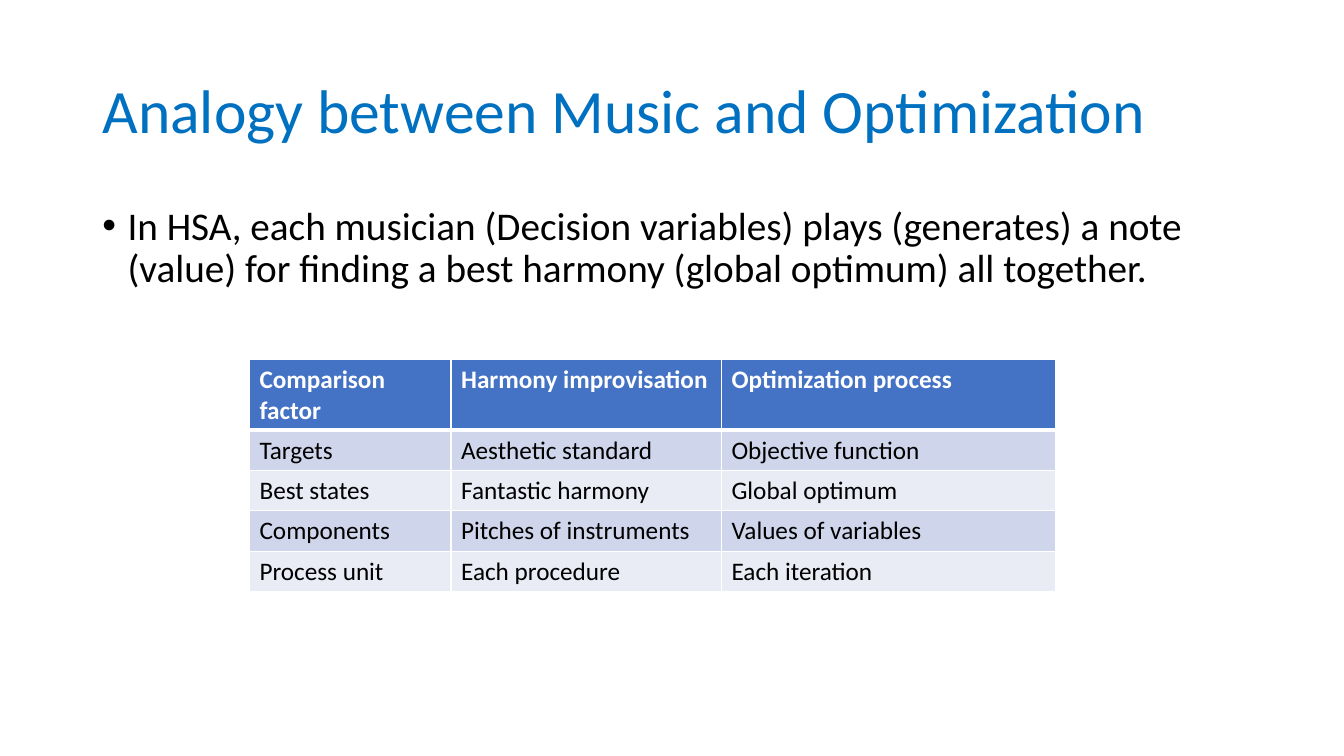
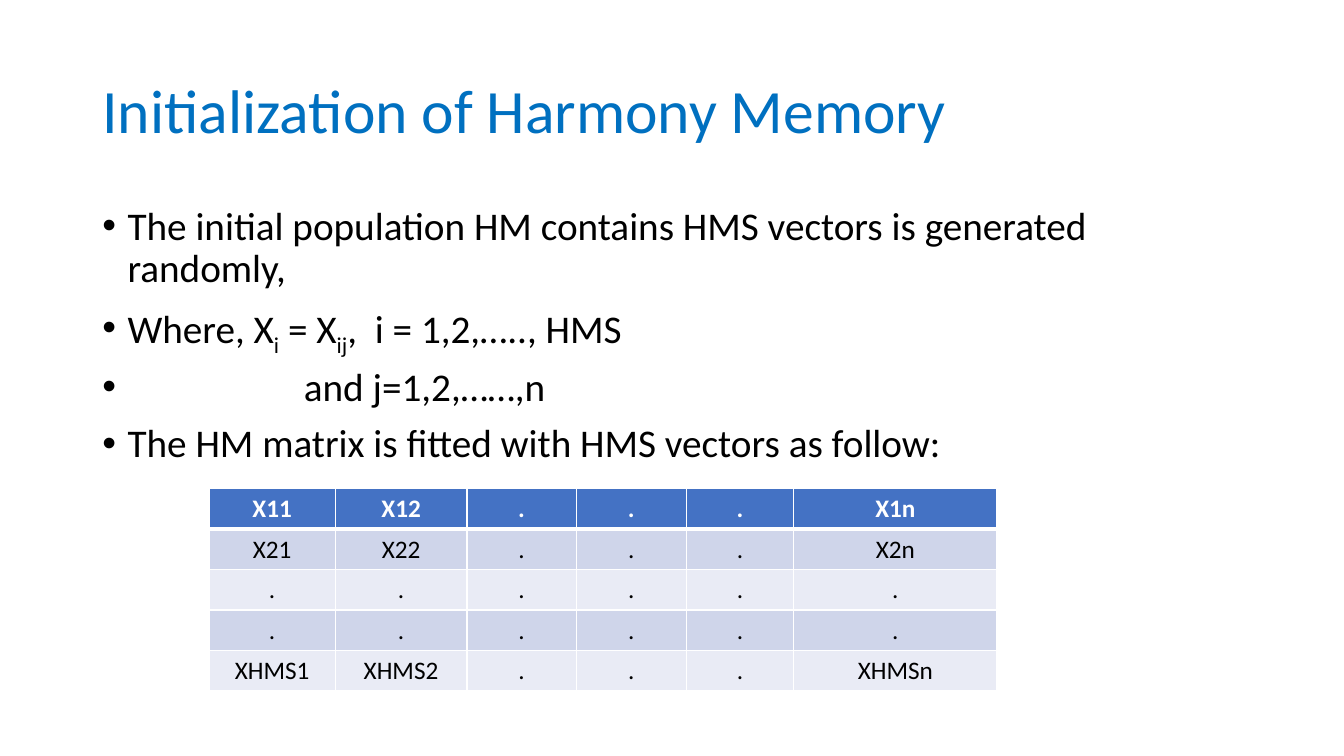
"""Build two slides on harmony search, each with a title, bullets and a table."""
import dataclasses
import typing

import pptx
import pptx.dml.color
import pptx.enum.text
import pptx.oxml
import pptx.oxml.ns
import pptx.util

WIDE, HIGH = pptx.util.Inches(13.33), pptx.util.Inches(7.5)
COLS, ROWS = 160, 90
FONT = "Calibri"
INKS = {
    "title": "0070C0",
    "text": "000000",
    "light": "FFFFFF",
    "head": "4472C4",
    "odd": "CFD5EA",
    "even": "E9EBF5",
}
ALIGN = pptx.enum.text.PP_ALIGN
ANCHOR = pptx.enum.text.MSO_ANCHOR


@dataclasses.dataclass(frozen=True)
class Box:
    """Area in grid columns and rows."""
    left: float
    top: float
    width: float
    height: float


@dataclasses.dataclass(frozen=True)
class Point:
    """Bullet with its hanging indent in grid columns."""
    text: str
    hang: float = 3


@dataclasses.dataclass(frozen=True)
class Grid:
    """Table with its place, column widths and cell texts."""
    left: float
    top: float
    cols: tuple[float, ...]
    cells: list[list[str]]
    head: float = 4.8
    row: float = 4.8
    align: ALIGN = ALIGN.LEFT


@dataclasses.dataclass(frozen=True)
class Page:
    """Content of one slide."""
    title: str
    points: list[Point]
    grid: Grid


TITLE = Box(11, 4.8, 138, 17.4)
BODY = Box(11, 24, 138, 57.1)


def across(cols: float) -> int:
    """Turn grid columns into a length."""
    return round(WIDE * cols / COLS)


def down(rows: float) -> int:
    """Turn grid rows into a length."""
    return round(HIGH * rows / ROWS)


def place(box: Box) -> tuple[int, int, int, int]:
    """Turn a grid area into slide lengths."""
    return across(box.left), down(box.top), across(box.width), down(box.height)


def write(para: typing.Any, text: str, *, size: float, ink: str = "text",
          bold: bool = False, align: ALIGN = ALIGN.LEFT,
          lead: float = 1, gap: float = 0, hang: float = 0) -> None:
    """Fill a paragraph; parts between underscores become subscripts."""
    para.alignment, para.line_spacing = align, lead
    para.space_before = pptx.util.Pt(gap)
    for rank, part in enumerate(text.split("_")):
        run = para.add_run()
        run.text = part
        run.font.name, run.font.size, run.font.bold = FONT, pptx.util.Pt(size), bold
        run.font.color.rgb = pptx.dml.color.RGBColor.from_string(INKS[ink])
        if rank % 2:
            run.font._element.set("baseline", "-25000")
    if hang:
        props = para._p.get_or_add_pPr()
        props.set("marL", str(across(hang)))
        props.set("indent", str(-across(hang)))
        names = pptx.oxml.ns.nsdecls("a")
        for tag in ('buFont {} typeface="Arial"', 'buChar {} char="•"'):
            props.append(pptx.oxml.parse_xml(f"<a:{tag.format(names)}/>"))


def edge(cell: typing.Any, side: str, width: float) -> None:
    """Draw one side of a cell."""
    names = pptx.oxml.ns.nsdecls("a")
    cell._tc.get_or_add_tcPr().append(pptx.oxml.parse_xml(
        f'<a:ln{side} {names} w="{pptx.util.Pt(width)}"><a:solidFill>'
        f'<a:srgbClr val="{INKS["light"]}"/></a:solidFill></a:ln{side}>'))


def head(slide: typing.Any, text: str) -> None:
    """Place and fill the title."""
    shape = slide.shapes.title
    shape.left, shape.top, shape.width, shape.height = place(TITLE)
    frame = shape.text_frame
    frame.auto_size = pptx.enum.text.MSO_AUTO_SIZE.NONE
    frame.vertical_anchor = ANCHOR.MIDDLE
    write(frame.paragraphs[0], text, size=44, ink="title", lead=0.9)


def body(slide: typing.Any, points: list[Point]) -> None:
    """Write the bullets."""
    frame = slide.shapes.add_textbox(*place(BODY)).text_frame
    frame.word_wrap = True
    for rank, point in enumerate(points):
        para = frame.add_paragraph() if rank else frame.paragraphs[0]
        write(para, point.text, size=28, lead=0.9, gap=10, hang=point.hang)


def chart(slide: typing.Any, grid: Grid) -> None:
    """Draw the banded table."""
    count = len(grid.cells)
    area = Box(grid.left, grid.top, sum(grid.cols),
               grid.head + grid.row * (count - 1))
    table = slide.shapes.add_table(count, len(grid.cols), *place(area)).table
    for col, width in zip(table.columns, grid.cols):
        col.width = across(width)
    for rank, texts in enumerate(grid.cells):
        first = rank == 0
        table.rows[rank].height = down(grid.head if first else grid.row)
        fill = "head" if first else "odd" if rank % 2 else "even"
        sides = {"L": 1, "R": 1, "T": 3 if rank == 1 else 1, "B": 3 if first else 1}
        for spot, text in enumerate(texts):
            cell = table.cell(rank, spot)
            for side, width in sides.items():
                edge(cell, side, width)
            cell.fill.solid()
            cell.fill.fore_color.rgb = pptx.dml.color.RGBColor.from_string(INKS[fill])
            write(cell.text_frame.paragraphs[0], text, size=18, bold=first,
                  ink="light" if first else "text", align=grid.align)


DOTS = ["."] * 3
PAGES = [
    Page(
        "Analogy between Music and Optimization",
        [Point("In HSA, each musician (Decision variables) plays (generates) a note "
               "(value) for finding a best harmony (global optimum) all together.")],
        Grid(29.7, 42.8, (24, 32.2, 39.8), [
            ["Comparison factor", "Harmony improvisation", "Optimization process"],
            ["Targets", "Aesthetic standard", "Objective function"],
            ["Best states", "Fantastic harmony", "Global optimum"],
            ["Components", "Pitches of instruments", "Values of variables"],
            ["Process unit", "Each procedure", "Each iteration"],
        ], head=8.4),
    ),
    Page(
        "Initialization of Harmony Memory",
        [Point("The initial population HM contains HMS vectors is generated randomly,"),
         Point("Where, X_i_ = X_ij_,  i = 1,2,….., HMS"),
         Point("and j=1,2,……,n", hang=24),
         Point("The HM matrix is fitted with HMS vectors as follow:")],
        Grid(24.9, 58.2, (15, 15.7, 13, 13.1, 12.8, 24.2), [
            ["X11", "X12", *DOTS, "X1n"],
            ["X21", "X22", *DOTS, "X2n"],
            DOTS * 2,
            DOTS * 2,
            ["XHMS1", "XHMS2", *DOTS, "XHMSn"],
        ], align=ALIGN.CENTER),
    ),
]


def main() -> None:
    """Build and save the deck."""
    deck = pptx.Presentation()
    deck.slide_width, deck.slide_height = WIDE, HIGH
    for page in PAGES:
        slide = deck.slides.add_slide(deck.slide_layouts.get_by_name("Title Only"))
        head(slide, page.title)
        body(slide, page.points)
        chart(slide, page.grid)
    deck.save("out.pptx")


main()
